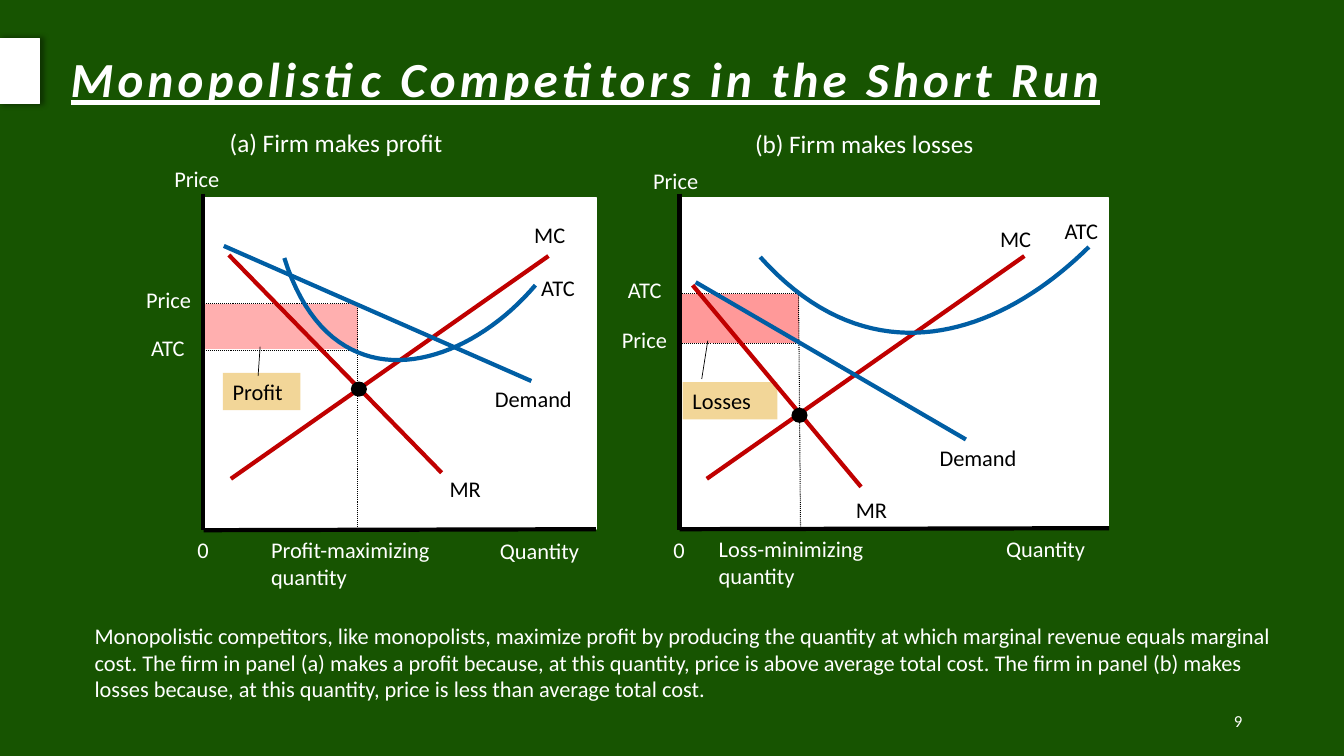
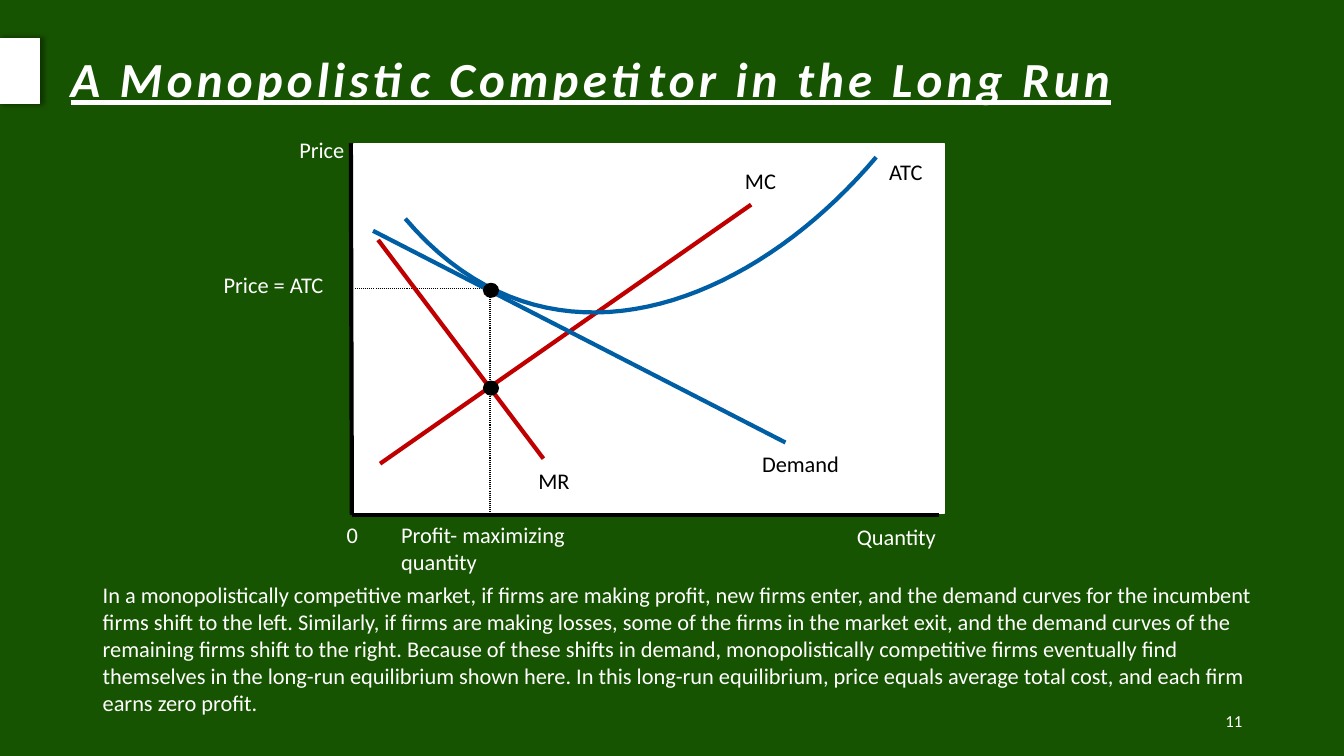
from dataclasses import dataclass

from lxml import etree
from pptx import Presentation
from pptx import util as u
from pptx.dml.color import RGBColor
from pptx.enum import dml, shapes, text
from pptx.oxml import ns

Inches = u.Inches


@dataclass(frozen=True)
class Theme:
    green: RGBColor = RGBColor.from_string("175401")
    white: RGBColor = RGBColor.from_string("FFFFFF")
    black: RGBColor = RGBColor.from_string("000000")
    red: RGBColor = RGBColor.from_string("C00000")
    blue: RGBColor = RGBColor.from_string("005EA4")
    sand: RGBColor = RGBColor.from_string("F2D698")
    pink: RGBColor = RGBColor.from_string("FFAFAF")
    rose: RGBColor = RGBColor.from_string("FF9999")
    font: str = "Calibri"
    title: int = 35
    heading: int = 18
    body: int = 16
    number: int = 12
    curve: float = 3


theme = Theme()

# Label widths, so each label is given only by its text and corner
label_width = {"Price": 0.65, "ATC": 0.54, "Price = ATC": 1.2, "Quantity": 1.05,
               "0": 0.33, "MC": 0.51, "MR": 0.52, "Demand": 1.02,
               "Profit-maximizing\nquantity": 1.8,
               "Profit- maximizing\nquantity": 1.85,
               "Loss-minimizing\nquantity": 1.65}
label_height = 0.37
dot_width, dot_height = 0.16, 0.15
curve_steps = 40

# Each panel: plot is left, top, width, height; lines are x1, y1, x2, y2;
# atc holds the four control points of the average total cost curve
profit_panel = dict(
    plot=(2.03, 1.96, 3.88, 3.29),
    axes=[(2.01, 1.92, 2.01, 5.26), (2.02, 5.26, 5.91, 5.25)],
    heading=("(a) Firm makes profit", 2.18, 1.21, 3.01),
    area=((2.04, 3.02, 1.5, 0.44), theme.pink),
    callout=("Profit", 2.21, 3.7, 0.77),
    pointer=(2.58, 3.44, 2.56, 3.73),
    mc=(2.29, 4.75, 5.44, 2.54), mr=(2.27, 2.53, 4.38, 4.69),
    demand=(2.22, 2.44, 5.27, 3.78),
    atc=[(2.82, 2.56), (3.28, 4.03), (4.57, 3.7), (5.31, 2.83)],
    guides=[(3.55, 3.01, 3.55, 5.23), (2.04, 3.01, 3.55, 3.01),
            (2.02, 3.48, 3.54, 3.48)],
    dots=[(3.56, 3.86)],
    inside=[("MC", 5.2, 2.14), ("ATC", 5.27, 2.67), ("MR", 4.36, 4.66),
            ("Demand", 4.81, 3.77)],
    outside=[("Price", 1.63, 1.59), ("Price", 1.35, 2.79), ("ATC", 1.4, 3.27),
             ("0", 1.86, 5.27), ("Quantity", 4.86, 5.28),
             ("Profit-maximizing\nquantity", 2.59, 5.27)])

loss_panel = dict(
    plot=(6.75, 1.96, 4.24, 3.29),
    axes=[(6.74, 1.92, 6.74, 5.26), (6.74, 5.25, 11, 5.24)],
    heading=("(b) Firm makes losses", 7.39, 1.22, 2.66),
    area=((6.76, 2.92, 1.16, 0.48), theme.rose),
    callout=("Losses", 6.77, 3.79, 0.94),
    pointer=(7.02, 3.38, 6.96, 3.76),
    mc=(7.01, 4.75, 10.16, 2.54), mr=(6.87, 2.83, 8.54, 4.83),
    demand=(6.9, 2.8, 9.58, 4.36),
    atc=[(7.54, 2.55), (8.64, 3.78), (9.92, 3.32), (10.8, 2.45)],
    guides=[(7.92, 2.89, 7.94, 5.23), (6.74, 2.91, 7.92, 2.91),
            (6.76, 3.41, 7.92, 3.41)],
    dots=[(7.93, 4.12)],
    inside=[("MC", 9.82, 2.18), ("ATC", 10.46, 2.11), ("MR", 8.39, 4.87),
            ("Demand", 9.22, 4.36)],
    outside=[("Price", 6.38, 1.61), ("ATC", 6.13, 2.69), ("Price", 6.07, 3.19),
             ("0", 6.58, 5.27), ("Quantity", 9.88, 5.26),
             ("Loss-minimizing\nquantity", 7.03, 5.26)])

long_run_panel = dict(
    plot=(3.51, 1.43, 5.86, 3.66),
    axes=[(3.48, 1.42, 3.49, 5.11), (3.49, 5.11, 9.31, 5.11)],
    mc=(3.77, 4.6, 7.45, 2.03), mr=(3.75, 2.38, 5.39, 4.55),
    demand=(3.7, 2.29, 7.79, 4.39),
    atc=[(4.02, 2.17), (5.44, 3.84), (7.45, 3.03), (8.69, 1.56)],
    guides=[(4.86, 2.86, 4.86, 5.08), (3.52, 2.86, 4.87, 2.86)],
    dots=[(4.87, 3.85), (4.87, 2.88)],
    inside=[("MC", 7.29, 1.61), ("ATC", 8.72, 1.52), ("MR", 5.24, 4.59),
            ("Demand", 7.46, 4.42)],
    outside=[("Price", 2.87, 1.3), ("Price = ATC", 2.12, 2.64),
             ("0", 3.34, 5.12), ("Quantity", 8.4, 5.14),
             ("Profit- maximizing\nquantity", 3.88, 5.12)])

pages = [
    dict(title="Monopolistic Competitors in the Short Run", number="9",
         panels=[profit_panel, loss_panel], body_at=(0.84, 6.12, 11.87, 0.91),
         body="Monopolistic competitors, like monopolists, maximize profit by "
              "producing the quantity at which marginal revenue equals marginal "
              "cost. The firm in panel (a) makes a profit because, at this "
              "quantity, price is above average total cost. The firm in panel "
              "(b) makes losses because, at this quantity, price is less than "
              "average total cost."),
    dict(title="A Monopolistic Competitor in the Long Run", number="11",
         panels=[long_run_panel], body_at=(0.92, 5.72, 11.61, 1.45),
         body="In a monopolistically competitive market, if firms are making "
              "profit, new firms enter, and the demand curves for the incumbent "
              "firms shift to the left. Similarly, if firms are making losses, "
              "some of the firms in the market exit, and the demand curves of "
              "the remaining firms shift to the right. Because of these shifts "
              "in demand, monopolistically competitive firms eventually find "
              "themselves in the long-run equilibrium shown here. In this "
              "long-run equilibrium, price equals average total cost, and each "
              "firm earns zero profit."),
]


def write(box, words, size=theme.body, color=theme.white, wrap=True, strong=False,
          spacing=0, align=text.PP_ALIGN.LEFT, anchor=text.MSO_ANCHOR.TOP):
    """Fill a box with text, one paragraph a line."""
    frame = box.text_frame
    frame.word_wrap = wrap
    frame.auto_size = text.MSO_AUTO_SIZE.NONE
    frame.vertical_anchor = anchor
    for index, line in enumerate(words.split("\n")):
        para = frame.paragraphs[0] if index == 0 else frame.add_paragraph()
        para.alignment = align
        span = para.add_run()
        span.text = line
        font = span.font
        font.name, font.size, font.color.rgb = theme.font, u.Pt(size), color
        if strong:
            font.bold = font.italic = font.underline = True
        if spacing:
            span._r.get_or_add_rPr().set("spc", str(spacing * 100))


def draw_line(page, ends, color=theme.black, width=theme.curve, dotted=False):
    """Draw a straight line between two points in inches."""
    line = page.shapes.add_connector(shapes.MSO_CONNECTOR.STRAIGHT,
                                     *[Inches(end) for end in ends])
    line.line.color.rgb = color
    line.line.width = u.Pt(width)
    if dotted:
        line.line.dash_style = dml.MSO_LINE.ROUND_DOT
    etree.SubElement(line._element.spPr, ns.qn("a:effectLst"))


deck = Presentation()
deck.slide_width, deck.slide_height = Inches(13.33), Inches(7.5)
backdrop = deck.slide_master.background.fill
backdrop.solid()
backdrop.fore_color.rgb = theme.green

for content in pages:
    page = deck.slides.add_slide(deck.slide_layouts[5])

    # Title
    title = page.shapes.title
    title.left, title.top = Inches(0.6), Inches(0.43)
    title.width, title.height = Inches(12), Inches(0.69)
    write(title, content["title"], size=theme.title, strong=True, spacing=3)

    # White tab with its shadow
    tab = page.shapes.add_shape(shapes.MSO_SHAPE.RECTANGLE, Inches(-0.01),
                                Inches(0.38), Inches(0.4), Inches(0.65))
    tab.fill.solid()
    tab.fill.fore_color.rgb = tab.line.color.rgb = theme.white
    tab.line.width = u.Pt(1)
    tab.shadow.inherit = False
    effects = tab._element.spPr.find(ns.qn("a:effectLst"))
    shadow = etree.SubElement(effects, ns.qn("a:outerShdw"), dir="0",
                              blurRad=str(u.Pt(4)), dist=str(u.Pt(3)))
    shade = etree.SubElement(shadow, ns.qn("a:srgbClr"), val=str(theme.black))
    etree.SubElement(shade, ns.qn("a:alpha"), val="40000")

    # Page number and explanation
    box = page.shapes.add_textbox(Inches(9.42), Inches(6.95), Inches(3), Inches(0.4))
    write(box, content["number"], size=theme.number, align=text.PP_ALIGN.RIGHT,
          anchor=text.MSO_ANCHOR.MIDDLE)
    box = page.shapes.add_textbox(*[Inches(side) for side in content["body_at"]])
    write(box, content["body"])

    for panel in content["panels"]:
        # Plot, then the profit or loss callout and area
        blocks = [(panel["plot"], theme.white)]
        if "area" in panel:
            blocks.append(panel["area"])
        for at, color in blocks:
            block = page.shapes.add_shape(shapes.MSO_SHAPE.RECTANGLE,
                                          *[Inches(side) for side in at])
            block.fill.solid()
            block.fill.fore_color.rgb = block.line.color.rgb = color
            block.line.width = u.Pt(1)
            block.shadow.inherit = False
        if "callout" in panel:
            words, left, top, width = panel["callout"]
            box = page.shapes.add_textbox(Inches(left), Inches(top), Inches(width),
                                          Inches(label_height))
            box.fill.solid()
            box.fill.fore_color.rgb = theme.sand
            write(box, words, color=theme.black)
            draw_line(page, panel["pointer"], width=0.5)

        # Axes, guides and straight curves
        for axis in panel["axes"]:
            draw_line(page, axis)
        for guide in panel["guides"]:
            draw_line(page, guide, width=0.75, dotted=True)
        for name, color in [("mc", theme.red), ("mr", theme.red),
                            ("demand", theme.blue)]:
            draw_line(page, panel[name], color=color)

        # Average total cost, traced as a cubic curve
        points = []
        for step in range(curve_steps + 1):
            t = step / curve_steps
            weights = ((1 - t) ** 3, 3 * t * (1 - t) ** 2, 3 * t ** 2 * (1 - t), t ** 3)
            points.append([Inches(sum(w * value for w, value in zip(weights, values)))
                           for values in zip(*panel["atc"])])
        outline = page.shapes.build_freeform(*points[0])
        outline.add_line_segments(points[1:], close=False)
        curve = outline.convert_to_shape()
        curve.fill.background()
        curve.line.color.rgb = theme.blue
        curve.line.width = u.Pt(theme.curve)
        curve.shadow.inherit = False

        # Equilibrium dots
        for x, y in panel["dots"]:
            dot = page.shapes.add_shape(
                shapes.MSO_SHAPE.OVAL, Inches(x - dot_width / 2),
                Inches(y - dot_height / 2), Inches(dot_width), Inches(dot_height))
            dot.fill.solid()
            dot.fill.fore_color.rgb = theme.black
            dot.line.fill.background()
            dot.shadow.inherit = False

        # Labels: black on the plot, white around it
        for group, color in [("inside", theme.black), ("outside", theme.white)]:
            for words, left, top in panel[group]:
                height = 0.64 if "\n" in words else label_height
                box = page.shapes.add_textbox(Inches(left), Inches(top),
                                              Inches(label_width[words]),
                                              Inches(height))
                write(box, words, color=color, wrap=False)
        if "heading" in panel:
            words, left, top, width = panel["heading"]
            box = page.shapes.add_textbox(Inches(left), Inches(top), Inches(width),
                                          Inches(0.4))
            write(box, words, size=theme.heading)

deck.save("out.pptx")
